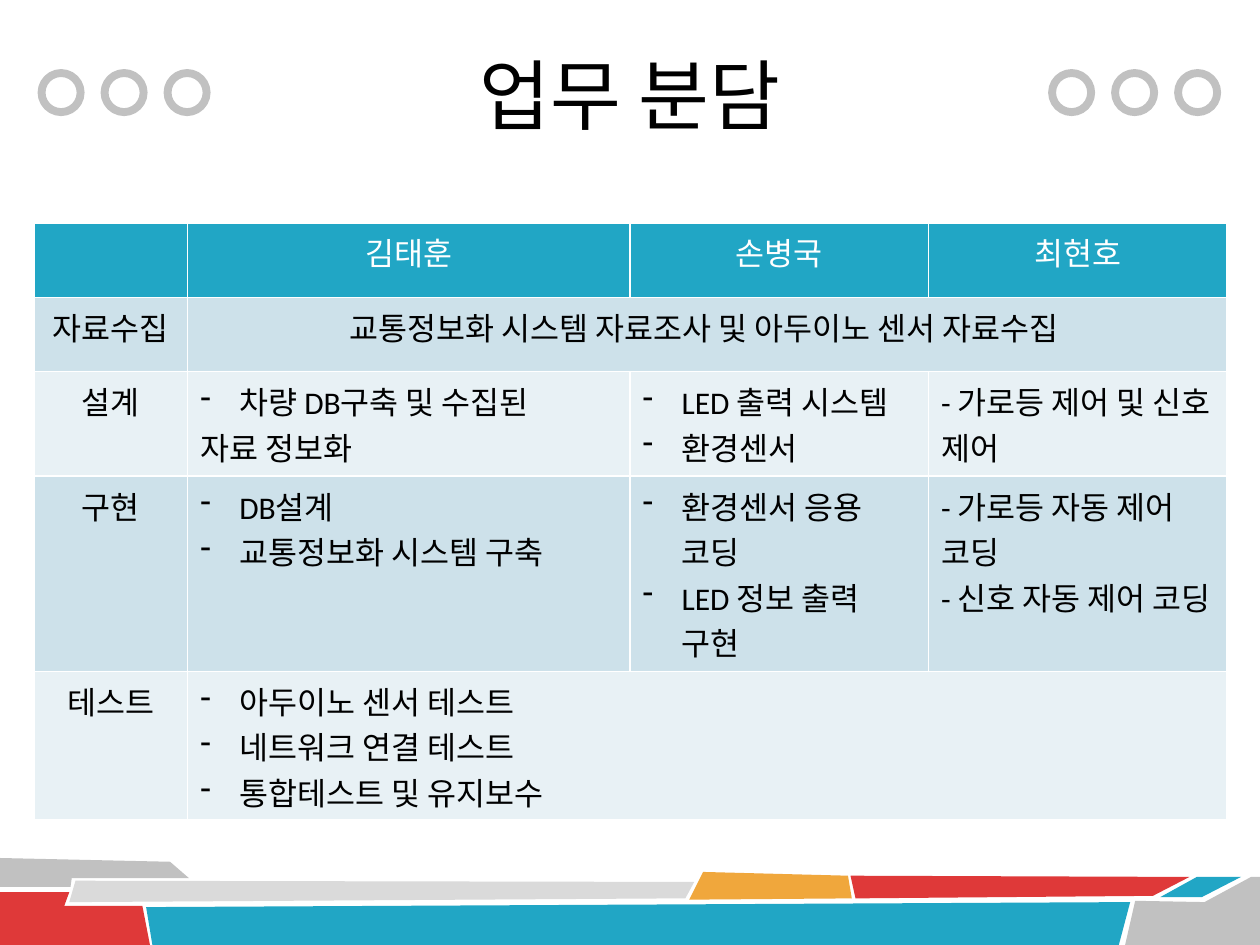
from dataclasses import dataclass

from lxml import etree
from pptx import Presentation
from pptx.dml.color import RGBColor
from pptx.enum.shapes import MSO_SHAPE
from pptx.enum.text import MSO_ANCHOR, PP_ALIGN
from pptx.oxml.ns import qn
from pptx.util import Inches, Pt

OVAL = MSO_SHAPE.OVAL
MIDDLE = MSO_ANCHOR.MIDDLE
CENTER = PP_ALIGN.CENTER
LEFT = PP_ALIGN.LEFT


@dataclass(frozen=True)
class Theme:
    black: str = "000000"
    white: str = "FFFFFF"
    blue: str = "21A6C5"
    red: str = "DF3939"
    orange: str = "F0A73C"
    gray: str = "C1C1C1"
    light_gray: str = "DADADA"
    bands: tuple = ("CDE1EA", "E8F1F5")
    body_font: str = "Calibri"
    title_font: str = "Noto Sans CJK KR"
    title_size: int = 44
    body_size: int = 18


THEME = Theme()

# Outlines of the footer ribbons, on a grid of 1000 columns by 750 rows.
GRID_UNIT = Inches(0.01)
RIBBONS = [
    (THEME.gray, [(0, 681), (135, 684), (150, 697), (57, 697), (56, 704), (0, 704)]),
    (THEME.red, [(0, 708), (55, 708), (51, 719), (113, 719), (119, 750), (0, 750)]),
    (THEME.light_gray, [(60, 699), (551, 700), (544, 713), (55, 716)]),
    (THEME.blue, [(116, 720), (897, 716), (888, 750), (121, 750)]),
    (THEME.orange, [(558, 692), (673, 695), (676, 713), (547, 714)]),
    (THEME.red, [(675, 695), (944, 696), (915, 711), (679, 713)]),
    (THEME.blue, [(950, 696), (985, 696), (954, 712), (921, 712)]),
    (THEME.gray, [(901, 715), (956, 716), (993, 696), (1000, 696),
                  (1000, 750), (893, 750)]),
]

COLUMN_WIDTHS = [1.22, 3.51, 2.37, 2.37]
ROW_HEIGHTS = [0.59, 0.59, 0.83, 1.55, 1.18]
MEMBERS = ["", "김태훈", "손병국", "최현호"]
# A stage with a single task cell spans all members; "•" marks a dashed list item.
STAGES = [
    ("자료수집", [["교통정보화 시스템 자료조사 및 아두이노 센서 자료수집 "]]),
    ("설계", [["•차량 DB구축 및 수집된", "자료 정보화"],
            ["•LED 출력 시스템", "•환경센서"],
            ["- 가로등 제어 및 신호 제어"]]),
    ("구현", [["•DB설계", "•교통정보화 시스템 구축"],
            ["•환경센서 응용 코딩", "•LED 정보 출력 구현"],
            ["- 가로등 자동 제어 코딩", "- 신호 자동 제어 코딩"]]),
    ("테스트", [["•아두이노 센서 테스트", "•네트워크 연결 테스트", "•통합테스트 및 유지보수"]]),
]


def color(value):
    return RGBColor.from_string(value)


def add_ribbon(slide, fill, points):
    builder = slide.shapes.build_freeform(*points[0], scale=GRID_UNIT)
    builder.add_line_segments(points[1:], close=True)
    shape = builder.convert_to_shape()
    shape.shadow.inherit = False
    shape.fill.solid()
    shape.fill.fore_color.rgb = color(fill)
    shape.line.fill.background()


def add_rings(slide, left, count=3, pitch=0.5, top=0.58, diameter=0.31):
    for index in range(count):
        ring = slide.shapes.add_shape(
            OVAL, Inches(left + index * pitch), Inches(top),
            Inches(diameter), Inches(diameter))
        ring.shadow.inherit = False
        ring.fill.background()
        ring.line.color.rgb = color(THEME.gray)
        ring.line.width = Pt(4.5)


def add_run(paragraph, text, size, text_color, font_name):
    run = paragraph.add_run()
    run.text = text
    run.font.size = Pt(size)
    run.font.name = font_name
    run.font.color.rgb = color(text_color)


def add_title(slide, text):
    box = slide.shapes.add_textbox(
        Inches(1.75), Inches(0.12), Inches(6.5), Inches(1.25))
    frame = box.text_frame
    frame.word_wrap = True
    frame.vertical_anchor = MIDDLE
    paragraph = frame.paragraphs[0]
    paragraph.alignment = CENTER
    add_run(paragraph, text, THEME.title_size, THEME.black, THEME.title_font)


def set_dash_bullet(paragraph):
    properties = paragraph._p.get_or_add_pPr()
    properties.set("marL", str(Inches(0.31)))
    properties.set("indent", str(-Inches(0.31)))
    etree.SubElement(properties, qn("a:buChar")).set("char", "-")


def set_borders(cell):
    properties = cell._tc.get_or_add_tcPr()
    for position, side in enumerate(("a:lnL", "a:lnR", "a:lnT", "a:lnB")):
        line = etree.Element(qn(side))
        line.set("w", str(Pt(1)))
        fill = etree.SubElement(line, qn("a:solidFill"))
        etree.SubElement(fill, qn("a:srgbClr")).set("val", THEME.white)
        properties.insert(position, line)


def paint_cell(cell, fill):
    cell.fill.solid()
    cell.fill.fore_color.rgb = color(fill)
    set_borders(cell)


def write_cell(cell, lines, alignment=LEFT, text_color=THEME.black):
    frame = cell.text_frame
    for index, line in enumerate(lines):
        paragraph = frame.add_paragraph() if index else frame.paragraphs[0]
        if line.startswith("•"):
            set_dash_bullet(paragraph)
        paragraph.alignment = alignment
        if line:
            add_run(paragraph, line.lstrip("•"), THEME.body_size,
                    text_color, THEME.body_font)


def add_task_table(slide):
    row_count, column_count = len(ROW_HEIGHTS), len(MEMBERS)
    table = slide.shapes.add_table(
        row_count, column_count, Inches(0.27), Inches(1.77),
        Inches(sum(COLUMN_WIDTHS)), Inches(sum(ROW_HEIGHTS))).table
    table.first_row = table.horz_banding = False
    for column, width in zip(table.columns, COLUMN_WIDTHS):
        column.width = Inches(width)
    for row, height in zip(table.rows, ROW_HEIGHTS):
        row.height = Inches(height)

    for column, member in enumerate(MEMBERS):
        cell = table.cell(0, column)
        paint_cell(cell, THEME.blue)
        write_cell(cell, [member], CENTER, THEME.white)

    for row, (stage, tasks) in enumerate(STAGES, start=1):
        for column in range(column_count):
            paint_cell(table.cell(row, column), THEME.bands[(row - 1) % 2])
        write_cell(table.cell(row, 0), [stage], CENTER)
        if len(tasks) == 1:
            table.cell(row, 1).merge(table.cell(row, column_count - 1))
        for column, lines in enumerate(tasks, start=1):
            alignment = CENTER if row == 1 else LEFT
            write_cell(table.cell(row, column), lines, alignment)


def main():
    presentation = Presentation()
    presentation.slide_width = Inches(10)
    presentation.slide_height = Inches(7.5)
    slide = presentation.slides.add_slide(presentation.slide_layouts[6])
    for fill, points in RIBBONS:
        add_ribbon(slide, fill, points)
    for left in (0.33, 8.35):
        add_rings(slide, left)
    add_title(slide, "업무 분담")
    add_task_table(slide)
    presentation.save("out.pptx")


if __name__ == "__main__":
    main()
